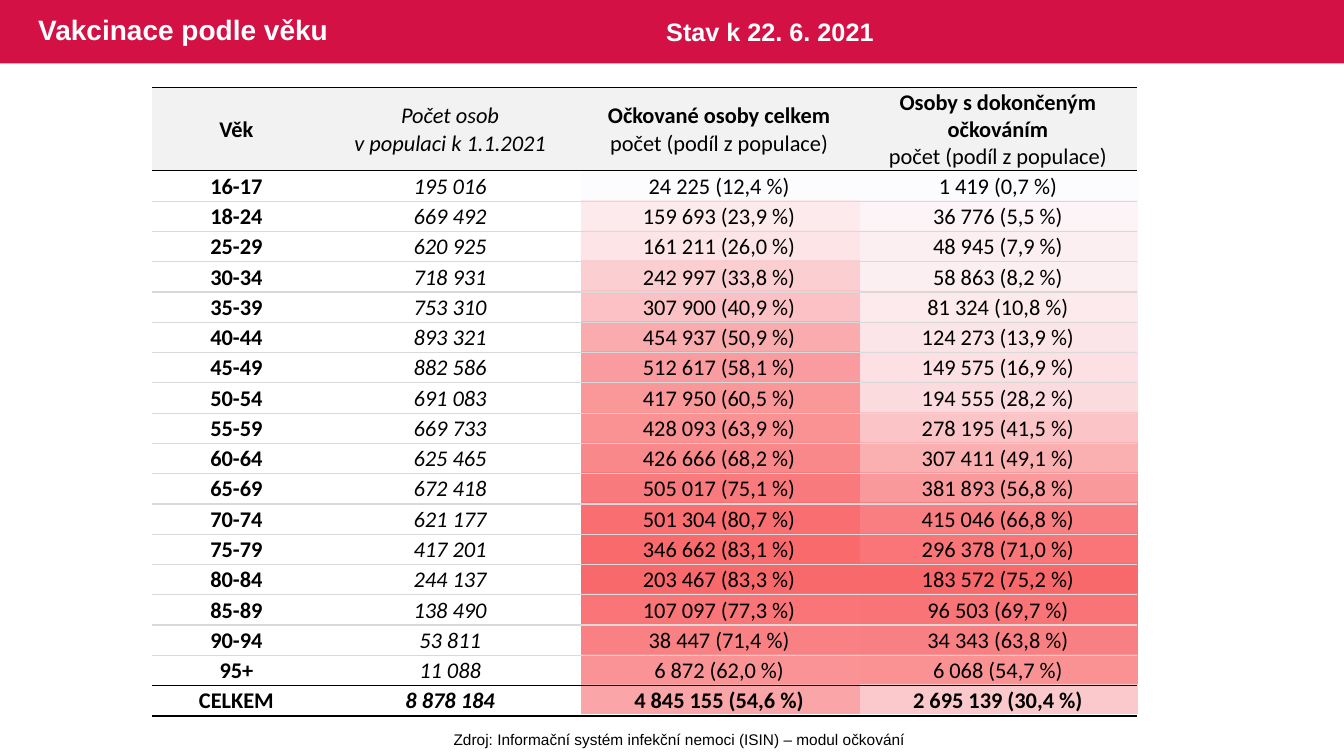
from lxml.etree import SubElement
from pptx import Presentation
from pptx.dml.color import RGBColor
from pptx.enum.shapes import MSO_SHAPE
from pptx.enum.text import MSO_ANCHOR, PP_ALIGN
from pptx.oxml.ns import qn
from pptx.util import Inches, Pt


def paint(color, code):
    color.rgb = RGBColor.from_string(code)


def write(par, text, size, face, code, bold=False, slant=False):
    run = par.add_run()
    run.text = text
    font = run.font
    font.size, font.name, font.bold, font.italic = Pt(size), face, bold, slant
    paint(font.color, code)


BLACK, WHITE, GRAY = "000000", "FFFFFF", "D9D9D9"
PLAIN = "{2D5ABB26-0587-4C30-8999-92F81FD0307C}"  # no style, no grid

heads = [
    ["Věk"],
    ["Počet osob", "v populaci k 1.1.2021"],
    ["Očkované osoby celkem", "počet (podíl z populace)"],
    ["Osoby s dokončeným očkováním", "počet (podíl z populace)"],
]
# Age, population, vaccinated, fully vaccinated, two heat colours
data = [
    ("16-17", "195 016", "24 225 (12,4 %)", "1 419 (0,7 %)", "FCFCFF", "FCFCFF"),
    ("18-24", "669 492", "159 693 (23,9 %)", "36 776 (5,5 %)", "FCEAED", "FCF4F7"),
    ("25-29", "620 925", "161 211 (26,0 %)", "48 945 (7,9 %)", "FCE4E7", "FCEFF2"),
    ("30-34", "718 931", "242 997 (33,8 %)", "58 863 (8,2 %)", "FBCFD2", "FCEFF2"),
    ("35-39", "753 310", "307 900 (40,9 %)", "81 324 (10,8 %)", "FBC1C4", "FCEAED"),
    ("40-44", "893 321", "454 937 (50,9 %)", "124 273 (13,9 %)", "FAABAE", "FCE5E8"),
    ("45-49", "882 586", "512 617 (58,1 %)", "149 575 (16,9 %)", "FA9C9F", "FCE0E3"),
    ("50-54", "691 083", "417 950 (60,5 %)", "194 555 (28,2 %)", "FA9799", "FCDBDE"),
    ("55-59", "669 733", "428 093 (63,9 %)", "278 195 (41,5 %)", "FA9193", "FBC4C7"),
    ("60-64", "625 465", "426 666 (68,2 %)", "307 411 (49,1 %)", "F9888A", "FAAFB1"),
    ("65-69", "672 418", "505 017 (75,1 %)", "381 893 (56,8 %)", "F97A7C", "FA999B"),
    ("70-74", "621 177", "501 304 (80,7 %)", "415 046 (66,8 %)", "F96F71", "F97E81"),
    ("75-79", "417 201", "346 662 (83,1 %)", "296 378 (71,0 %)", "F96A6C", "F97577"),
    ("80-84", "244 137", "203 467 (83,3 %)", "183 572 (75,2 %)", "F8696B", "F8696B"),
    ("85-89", "138 490", "107 097 (77,3 %)", "96 503 (69,7 %)", "F97577", "F97476"),
    ("90-94", "53 811", "38 447 (71,4 %)", "34 343 (63,8 %)", "F98183", "F98082"),
    ("95+", "11 088", "6 872 (62,0 %)", "6 068 (54,7 %)", "FA9395", "FA9294"),
    ("CELKEM", "8 878 184", "4 845 155 (54,6 %)", "2 695 139 (30,4 %)", "FAA5A7", "FBC9CC"),
]
last = len(data)

deck = Presentation()
deck.slide_width, deck.slide_height = Inches(13.33), Inches(7.5)
slide = deck.slides.add_slide(deck.slide_layouts[6])
shapes = slide.shapes

# Top band
band = shapes.add_shape(MSO_SHAPE.RECTANGLE, 0, 0, Inches(13.33), Inches(0.63))
band.shadow.inherit = False
band.fill.solid()
paint(band.fill.fore_color, "D31145")
band.line.fill.background()

# Empty tables: heat colours behind, figures in front
heat = shapes.add_table(last, 2, Inches(5.76), Inches(1.68), Inches(5.53), Inches(5.41)).table
main = shapes.add_table(last + 1, 4, Inches(1.51), Inches(0.87), Inches(9.77), Inches(6.22)).table
for table, widths in ((heat, (2.765, 2.765)), (main, (1.67, 2.57, 2.765, 2.765))):
    table.first_row = table.horz_banding = False
    table._tbl.tblPr.find(qn("a:tableStyleId")).text = PLAIN
    for col, width in zip(table.columns, widths):
        col.width = Inches(width)
    for row in table.rows:
        row.height = Inches(5.41 / last)
main.rows[0].height = Inches(0.81)

# Heat colours
for r, line in enumerate(data):
    for c, code in enumerate(line[4:]):
        cell = heat.cell(r, c)
        cell.margin_top = cell.margin_bottom = 0
        cell.fill.solid()
        paint(cell.fill.fore_color, code)
        SubElement(cell.text_frame.paragraphs[0]._p, qn("a:endParaRPr"), sz="1200")

# Figures
rows = [heads] + [[[text] for text in line[:4]] for line in data]
dark = {0, 1, last, last + 1}  # row edges drawn in black
for r, line in enumerate(rows):
    for c, texts in enumerate(line):
        cell = main.cell(r, c)
        cell.vertical_anchor = MSO_ANCHOR.MIDDLE
        cell.margin_left = cell.margin_right = cell.margin_top = Inches(0.01)
        cell.margin_bottom = 0
        for i, text in enumerate(texts):
            frame = cell.text_frame
            par = frame.add_paragraph() if i else frame.paragraphs[0]
            par.alignment = PP_ALIGN.CENTER
            bold = c == 0 or r == last or (r == 0 and c > 1 and i == 0)
            write(par, text, 16, "Calibri", BLACK, bold, c == 1)
        props = cell._tc.get_or_add_tcPr()
        for tag, edge in (("a:lnT", r), ("a:lnB", r + 1)):
            rule = SubElement(props, qn(tag), w=str(Pt(1)))
            fill = SubElement(rule, qn("a:solidFill"))
            SubElement(fill, qn("a:srgbClr"), val=BLACK if edge in dark else GRAY)
        if r == 0:
            cell.fill.solid()
            paint(cell.fill.fore_color, "F2F2F2")
        else:
            cell.fill.background()

# Title, date and source
notes = [
    ("Vakcinace podle věku", 0.28, 0, 8.13, 0.63, 20, WHITE, True),
    ("Stav k 22. 6. 2021", 6.51, 0.11, 2.96, 0.4, 18, WHITE, True),
    ("Zdroj: Informační systém infekční nemoci (ISIN) – modul očkování",
     4.39, 7.19, 4.7, 0.29, 11, BLACK, False),
]
for text, x, y, w, h, size, code, bold in notes:
    box = shapes.add_textbox(Inches(x), Inches(y), Inches(w), Inches(h))
    frame = box.text_frame
    frame.word_wrap = bold
    par = frame.paragraphs[0]
    if size == 20:
        frame.vertical_anchor = MSO_ANCHOR.MIDDLE
        par.line_spacing = 0.9
    if not bold:
        par.alignment = PP_ALIGN.CENTER
    write(par, text, size, "Arial", code, bold)

deck.save("out.pptx")
